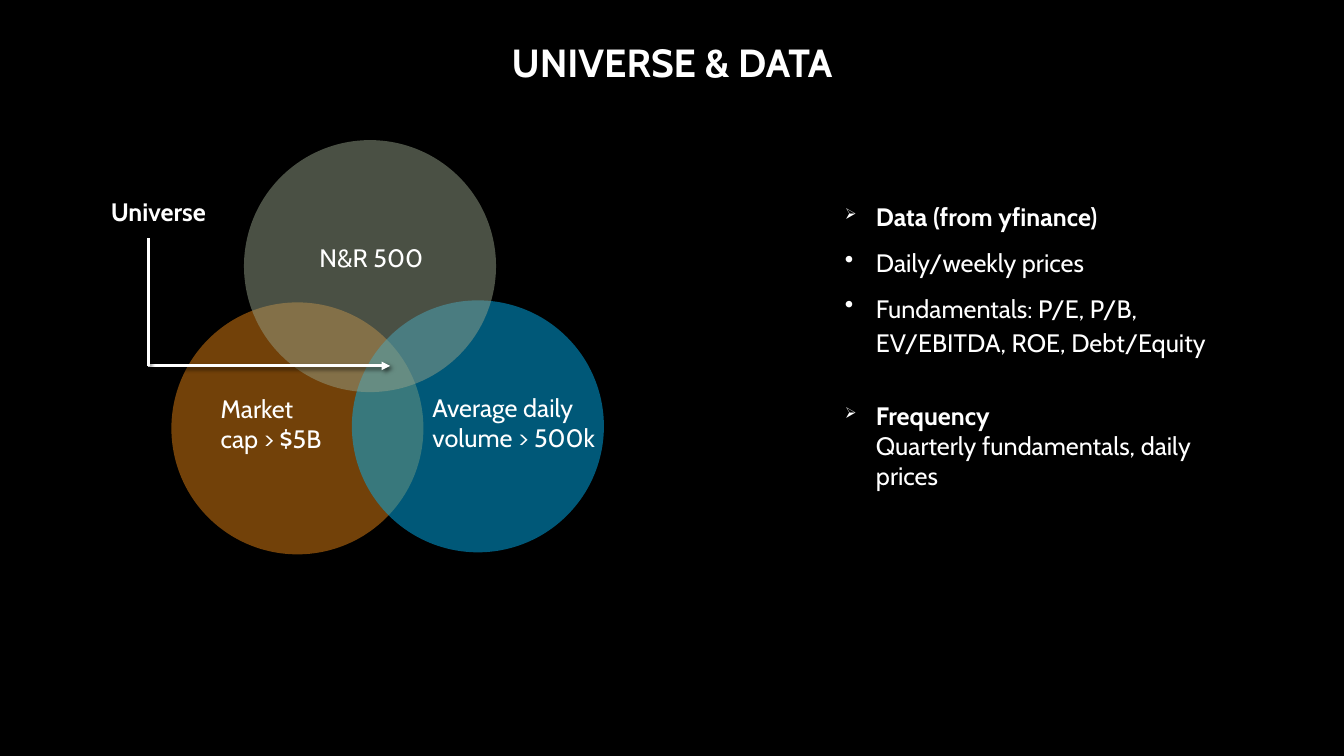
from lxml.etree import SubElement
from pptx import Presentation
from pptx.dml.color import RGBColor
from pptx.enum.shapes import MSO_CONNECTOR as Connector, MSO_SHAPE as Shape
from pptx.enum.text import PP_ALIGN as Align
from pptx.oxml.ns import qn
from pptx.util import Inches, Pt

BLACK = RGBColor(0x00, 0x00, 0x00)
WHITE = RGBColor(0xFF, 0xFF, 0xFF)
ORANGE = RGBColor(0xE4, 0x83, 0x12)
BLUE = RGBColor(0x00, 0xB0, 0xF0)
SAGE = RGBColor(0x94, 0xA0, 0x88)


def add_xml(parent, tag, **attributes):
    return SubElement(parent, qn(tag), {k: str(v) for k, v in attributes.items()})


class Deck:
    """Style and current slide; lengths are half-inch columns and rows."""
    font = "Cabin"
    size = 18
    cell = Inches(0.5)

    def __init__(self):
        self.prs = Presentation()
        self.prs.slide_width, self.prs.slide_height = Inches(13.33), Inches(7.5)
        self.slide = self.prs.slides.add_slide(self.prs.slide_layouts[6])
        self.slide.background.fill.solid()
        self.slide.background.fill.fore_color.rgb = BLACK

    def grid(self, *cells):
        return [round(n * self.cell) for n in cells]

    def style(self, run, bold=False, size=None):
        run.font.name, run.font.size = self.font, Pt(size or self.size)
        run.font.bold, run.font.color.rgb = bold, WHITE

    def box(self, *place):
        frame = self.slide.shapes.add_textbox(*self.grid(*place)).text_frame
        frame.word_wrap = True
        return frame

    def label(self, text, *place, bold=False):
        frame = self.box(*place)
        frame.text = text
        self.style(frame.paragraphs[0].runs[0], bold)

    def title(self, text, *place):
        frame = self.box(*place)
        frame.margin_left = frame.margin_right = frame.margin_top = frame.margin_bottom = 0
        frame.text = text
        heading = frame.paragraphs[0]
        heading.alignment, heading.line_spacing = Align.CENTER, 0.9
        self.style(heading.runs[0], True, 28)

    def circle(self, color, left, top, diameter):
        disc = self.slide.shapes.add_shape(
            Shape.FLOWCHART_CONNECTOR, *self.grid(left, top, diameter, diameter))
        disc.shadow.inherit = False
        disc.line.fill.background()
        disc.fill.solid()
        disc.fill.fore_color.rgb = color
        tint = disc.fill._xPr.find(qn("a:solidFill"))[0]
        add_xml(tint, "a:alpha", val=50000)

    def line(self, *ends, arrow=False):
        link = self.slide.shapes.add_connector(Connector.STRAIGHT, *self.grid(*ends))
        link.line.color.rgb, link.line.width = WHITE, Pt(2)
        if arrow:
            add_xml(link.line._get_or_add_ln(), "a:tailEnd", type="triangle")
        effects = add_xml(link._element.spPr, "a:effectLst")
        shadow = add_xml(effects, "a:outerShdw", blurRad=Pt(3), dist=Pt(2),
                         dir=45 * 60000, rotWithShape=0)
        add_xml(add_xml(shadow, "a:srgbClr", val=BLACK), "a:alpha", val=60000)

    def bullets(self, items, *place):
        """Each item: heading, plain text, line spacing, space before, space after."""
        frame = self.box(*place)
        for i, (heading, plain, spacing, before, after) in enumerate(items):
            item = frame.add_paragraph() if i else frame.paragraphs[0]
            item.text = heading or plain
            self.style(item.runs[0], bool(heading))
            if heading and plain:
                item.add_line_break()
                detail = item.add_run()
                detail.text = plain
                self.style(detail)
            item.line_spacing = spacing
            item.space_before, item.space_after = Pt(before), Pt(after)
            props = item._p.get_or_add_pPr()
            props.set("marL", str(Inches(0.31)))
            props.set("indent", str(-Inches(0.31)))
            if heading:
                add_xml(props, "a:buSzPct", val=60000)
            add_xml(props, "a:buChar", char="➢" if heading else "•")


def main():
    deck = Deck()
    deck.title("UNIVERSE & DATA", 9.36, 0.86, 7.94, 1.7)

    # Venn diagram of the three filters
    for color, left, top in ((ORANGE, 3.4, 6), (BLUE, 6.98, 5.96), (SAGE, 4.84, 2.78)):
        deck.circle(color, left, top, 5)
    deck.label("N&R 500", 6.14, 4.72, 2.7, 0.8)
    deck.label("Market cap > $5B", 4.18, 7.7, 2.66, 1.42)
    deck.label("Average daily volume > 500k", 8.38, 7.68, 3.82, 1.42)

    # Pointer from the universe label to the shared area
    corner_x, corner_y = 2.94, 7.26
    deck.line(corner_x, corner_y, 7.74, corner_y, arrow=True)
    deck.line(corner_x, corner_y, corner_x, 4.72)
    deck.label("Universe", 2, 3.8, 3.9, 0.8, bold=True)

    # Data sources and frequency
    deck.bullets((
        ("Data (from yfinance)", "", 1.15, 0, 8),
        ("", "Daily/weekly prices", 1.15, 0, 8),
        ("", "Fundamentals: P/E, P/B, EV/EBITDA, ROE, Debt/Equity", 1.15, 0, 8),
        ("Frequency", "Quarterly fundamentals, daily prices", 1.0, 22, 0),
    ), 16.56, 3.8, 8.56, 6.7)

    deck.prs.save("out.pptx")


if __name__ == "__main__":
    main()
